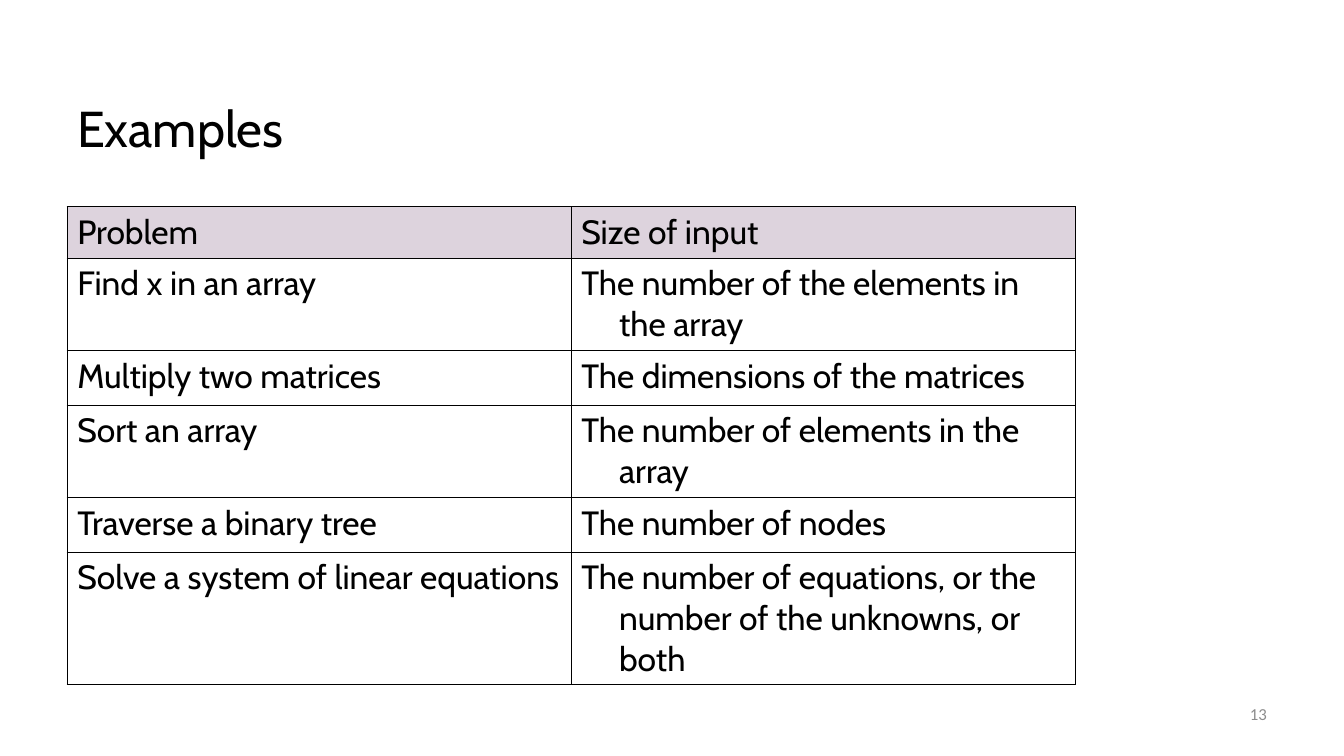
from lxml.etree import SubElement
from pptx import Presentation
from pptx.dml.color import RGBColor
from pptx.enum.text import MSO_ANCHOR, PP_ALIGN
from pptx.oxml.ns import qn
from pptx.util import Emu, Pt

HEADINGS = ("Problem", "Size of input")
EXAMPLES = [
    ("Find x in an array", "The number of the elements in the array"),
    ("Multiply two matrices", "The dimensions of the matrices"),
    ("Sort an array", "The number of elements in the array"),
    ("Traverse a binary tree", "The number of nodes"),
    ("Solve a system of linear equations",
     "The number of equations, or the number of the unknowns, or both"),
]
ROW_HEIGHTS = (49, 88, 52, 88, 52, 126)
BLACK, GREY, MAUVE = "000000", "8C8C8C", "DDD3DD"


def px(length):
    """Turn px into EMU at 96 px to the inch."""
    return Emu(length * 9525)


def color(hex_code):
    """Turn a hex string into a colour."""
    return RGBColor.from_string(hex_code)


def write(frame, wording, size, font, hex_code):
    """Set the text of a frame and format its paragraph."""
    frame.text = wording
    paragraph = frame.paragraphs[0]
    letters = paragraph.runs[0].font
    letters.size, letters.name = Pt(size), font
    letters.color.rgb = color(hex_code)
    return paragraph


def add_label(slide, box, wording, size, font, hex_code):
    """Place a vertically centred line of text in a box."""
    frame = slide.shapes.add_textbox(*map(px, box)).text_frame
    frame.word_wrap = True
    frame.vertical_anchor = MSO_ANCHOR.MIDDLE
    return write(frame, wording, size, font, hex_code)


def add_borders(cell):
    """Draw a thin black line on each side of a cell."""
    properties = cell._tc.get_or_add_tcPr()
    for side in ("lnL", "lnR", "lnT", "lnB"):
        border = SubElement(properties, qn(f"a:{side}"), w=str(Pt(1)))
        fill = SubElement(border, qn("a:solidFill"))
        SubElement(fill, qn("a:srgbClr"), val=BLACK)


def fill_cell(cell, wording, is_heading):
    """Write one table cell with a hanging indent."""
    add_borders(cell)
    if is_heading:
        cell.fill.solid()
        cell.fill.fore_color.rgb = color(MAUVE)
    else:
        cell.fill.background()
    paragraph = write(cell.text_frame, wording, 24, "Cabin", BLACK)
    indents = paragraph._p.get_or_add_pPr()
    indents.set("marL", str(px(36)))
    indents.set("indent", str(px(-36)))


def add_examples(slide, box):
    """Place the table of problems and their input sizes."""
    entries = [HEADINGS, *EXAMPLES]
    table = slide.shapes.add_table(
        len(entries), len(HEADINGS), *map(px, box)).table
    for row, entry, height in zip(table.rows, entries, ROW_HEIGHTS):
        row.height = px(height)
        for cell, wording in zip(row.cells, entry):
            fill_cell(cell, wording, entry is HEADINGS)


def main():
    """Build and save the slide."""
    deck = Presentation()
    deck.slide_width, deck.slide_height = px(1280), px(720)
    slide = deck.slides.add_slide(deck.slide_layouts[6])
    title = add_label(slide, (64, 53, 1152, 144), "Examples", 36, "Cabin", BLACK)
    title.line_spacing = 0.9
    add_examples(slide, (64, 197, 960, sum(ROW_HEIGHTS)))
    page_number = add_label(slide, (918, 656, 298, 48), "13", 12, "Calibri", GREY)
    page_number.alignment = PP_ALIGN.RIGHT
    deck.save("out.pptx")


if __name__ == "__main__":
    main()
